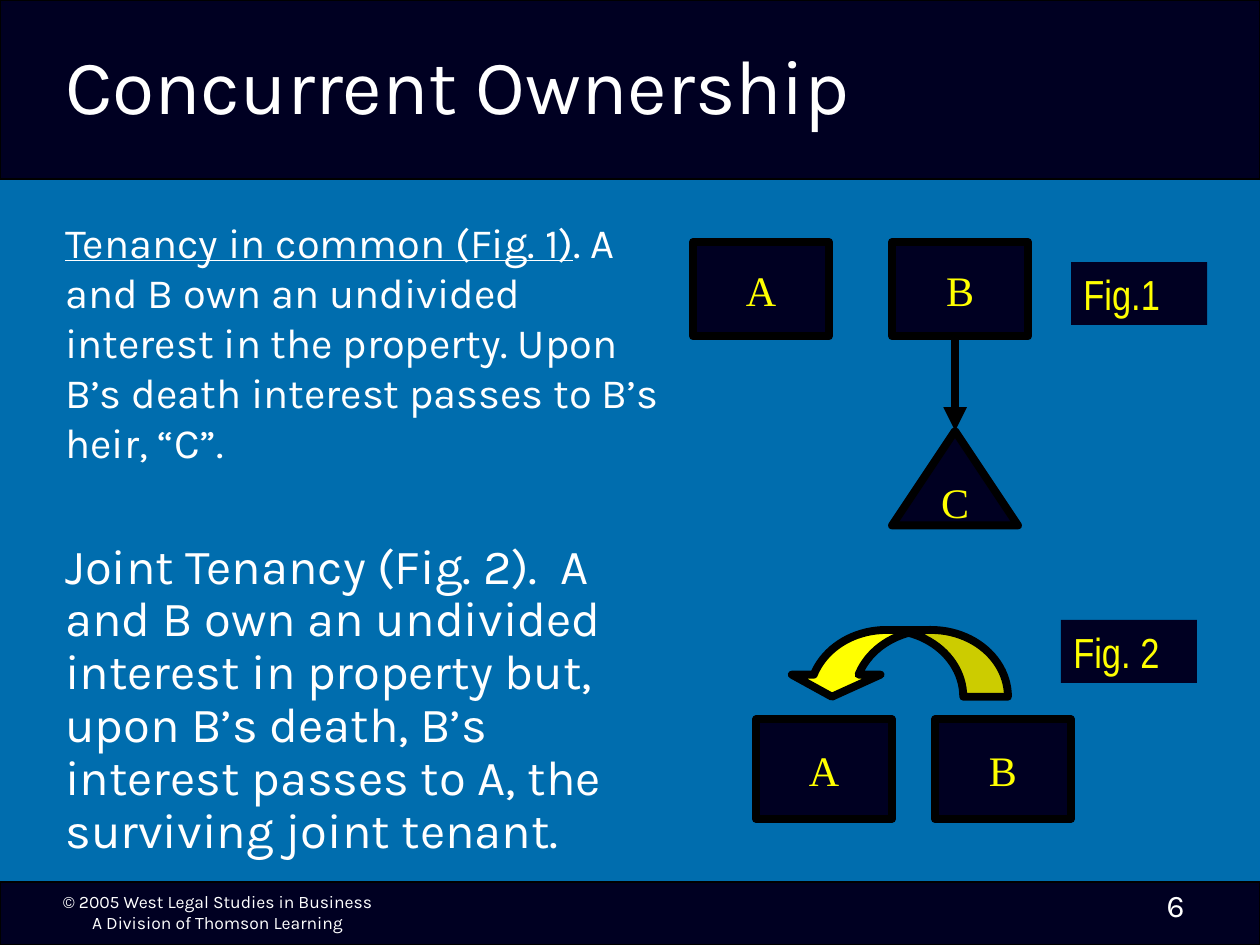
from lxml.etree import SubElement
from pptx import Presentation
from pptx.dml.color import RGBColor
from pptx.enum.shapes import MSO_CONNECTOR as CONN, MSO_SHAPE as SHAPE
from pptx.enum.text import MSO_ANCHOR as ANCHOR, PP_ALIGN as ALIGN
from pptx.oxml.ns import qn
from pptx.util import Inches, Pt

NAVY, BLUE, BLACK = "000022", "006DAE", "000000"
WHITE, YELLOW = "FFFFFF", "FFFF00"
BODY, LABEL, NODE = "Karla", "Arial Narrow", "Times New Roman"


def rgb(value):
    return RGBColor.from_string(value)


class Deck:
    def __init__(self):
        self.prs = Presentation()
        self.prs.slide_width, self.prs.slide_height = Inches(10), Inches(7.5)
        self.s = self.prs.slides.add_slide(self.prs.slide_layouts[6])
        fill = self.s.background.fill
        fill.solid()
        fill.fore_color.rgb = rgb(BLUE)

    def fill_text(self, tf, text, size, font, color, align=ALIGN.LEFT,
                  anchor=ANCHOR.TOP, wrap=True):
        tf.text = text
        tf.word_wrap = wrap
        tf.vertical_anchor = anchor
        p = tf.paragraphs[0]
        p.alignment = align
        for r in p.runs:
            r.font.size, r.font.name = Pt(size), font
            r.font.color.rgb = rgb(color)
        return p

    def text(self, box, text, size, **style):
        sp = self.s.shapes.add_textbox(*map(Inches, box))
        return self.fill_text(sp.text_frame, text, size, BODY, WHITE, **style)

    def shape(self, kind, box, fill=NAVY, line=4.5):
        sp = self.s.shapes.add_shape(kind, *map(Inches, box))
        sp.shadow.inherit = False
        sp.fill.solid()
        sp.fill.fore_color.rgb = rgb(fill)
        if line:
            sp.line.color.rgb = rgb(BLACK)
            sp.line.width = Pt(line)
        else:
            sp.line.fill.background()
        return sp

    def node(self, kind, box, name):
        sp = self.shape(kind, box)
        self.fill_text(sp.text_frame, name, 24, NODE, YELLOW, ALIGN.CENTER,
                       ANCHOR.MIDDLE, wrap=False)

    def label(self, x, y, text):
        sp = self.shape(SHAPE.RECTANGLE, (x, y, 1.08, 0.5), line=None)
        self.fill_text(sp.text_frame, text, 24, LABEL, YELLOW)

    def arrow(self, x1, y1, x2, y2):
        c = self.s.shapes.add_connector(CONN.STRAIGHT,
                                        *map(Inches, (x1, y1, x2, y2)))
        c.line.color.rgb = rgb(BLACK)
        c.line.width = Pt(4.5)
        sp_pr = c._element.spPr
        SubElement(sp_pr.find(qn("a:ln")), qn("a:tailEnd"), type="triangle")
        SubElement(sp_pr, qn("a:effectLst"))

    def curved_arrow(self, box):
        """Draw an arc that ends with its head at the lower left."""
        sp = self.shape(SHAPE.CURVED_DOWN_ARROW, box, fill=YELLOW)
        for i, value in enumerate((0.67, 1.33, 0.33)):
            sp.adjustments[i] = value
        sp._element.spPr.find(qn("a:xfrm")).set("flipH", "1")


def main():
    deck = Deck()
    for top, height in ((0, 1.42), (7, 0.5)):
        deck.shape(SHAPE.RECTANGLE, (0, top, 10, height), line=0.75)
    deck.text((0.35, 7.02, 2.75, 0.44),
              "© 2005 West Legal Studies in Business\v"
              "A Division of Thomson Learning", 10, align=ALIGN.CENTER)
    deck.text((7.17, 6.98, 2.33, 0.52), "6", 18, align=ALIGN.RIGHT)
    deck.text((0.42, 0.25, 8.08, 0.83), "Concurrent Ownership", 44,
              anchor=ANCHOR.MIDDLE)

    p = deck.text((0.42, 1.67, 4.92, 2.48), "Tenancy in common (Fig. 1)", 23.8)
    p.runs[0].font.underline = True
    r = p.add_run()
    r.text = (". A and B own an undivided interest in the property. "
              "Upon B’s death interest passes to B’s heir, “C”.")
    r.font.size, r.font.name = Pt(23.8), BODY
    r.font.color.rgb = rgb(WHITE)

    p = deck.text((0.42, 4.25, 4.75, 2.62),
                  "Joint Tenancy (Fig. 2).  A and B own an undivided interest "
                  "in property but, upon B’s death, B’s interest passes to A, "
                  "the surviving joint tenant.", 28)
    p.line_spacing = 0.9

    for name, x1, x2 in (("A", 5.5, 6), ("B", 7.08, 7.42)):
        deck.node(SHAPE.RECTANGLE, (x1, 1.92, 1.08, 0.75), name)
        deck.node(SHAPE.RECTANGLE, (x2, 5.71, 1.08, 0.79), name)
    deck.arrow(7.58, 2.67, 7.58, 3.42)
    deck.node(SHAPE.ISOSCELES_TRIANGLE, (7.08, 3.42, 1, 0.75), "C")
    deck.curved_arrow((6.25, 5, 1.75, 0.53))
    deck.label(8.5, 2.08, "Fig.1")
    deck.label(8.42, 4.92, "Fig. 2")
    deck.prs.save("out.pptx")


if __name__ == "__main__":
    main()
